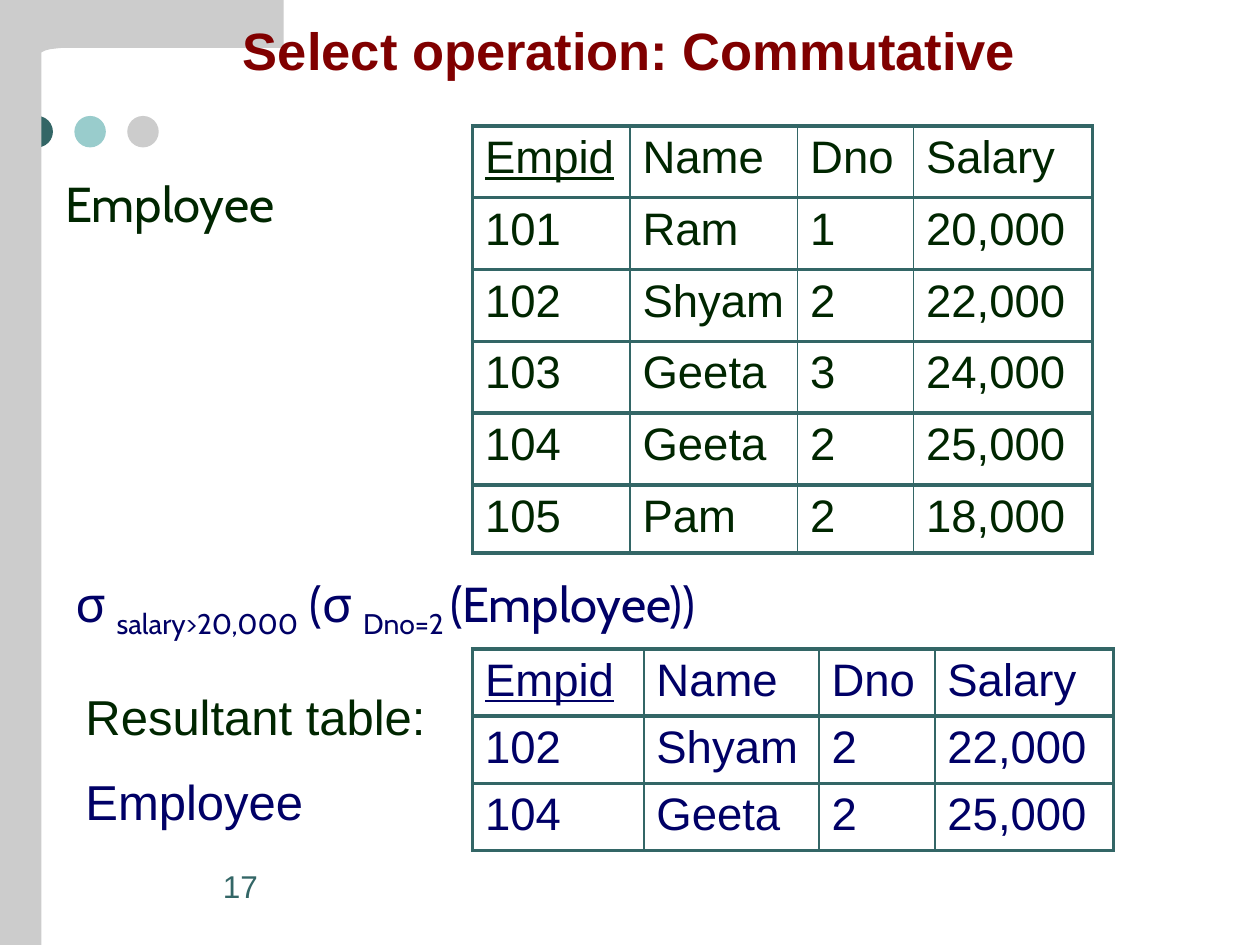
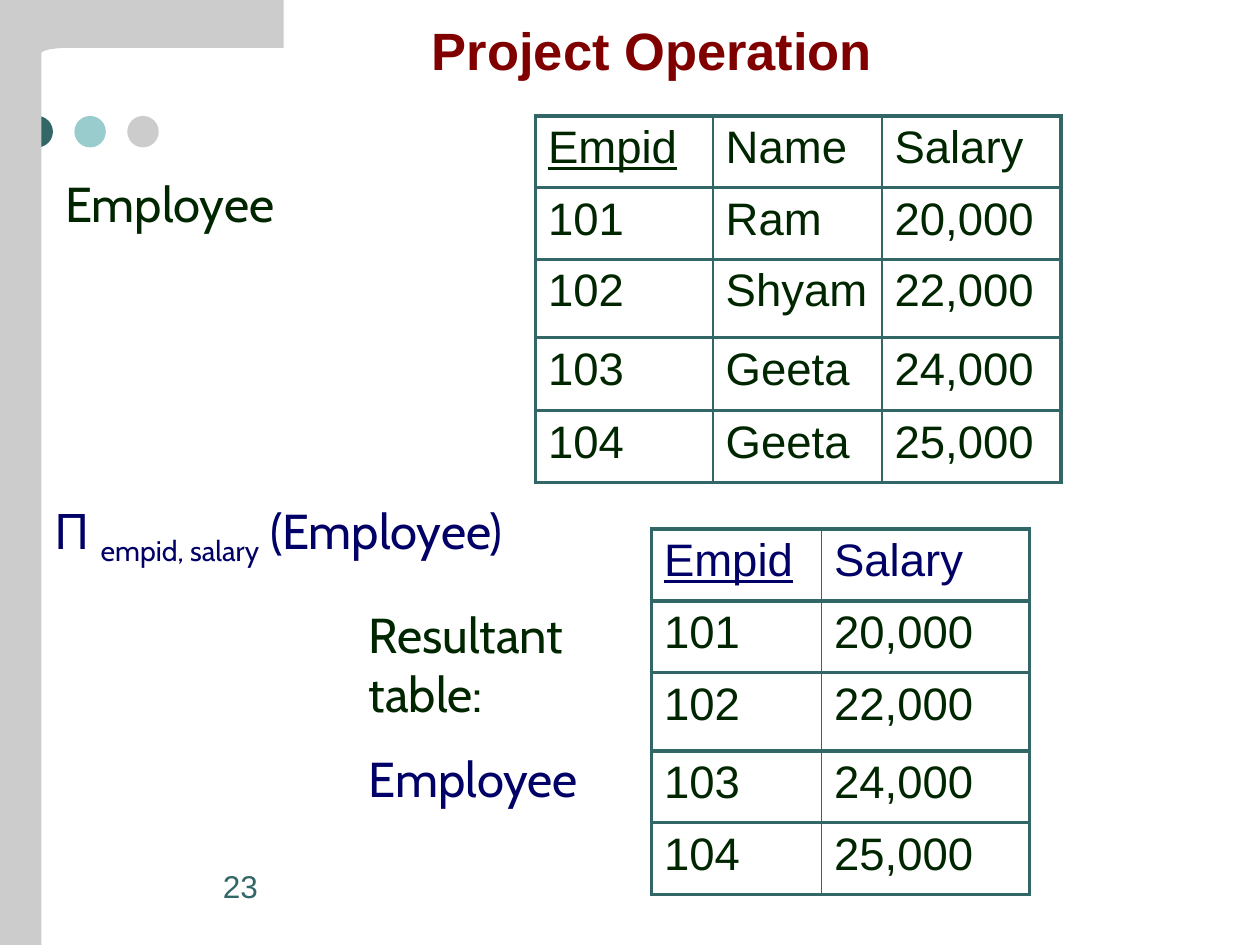
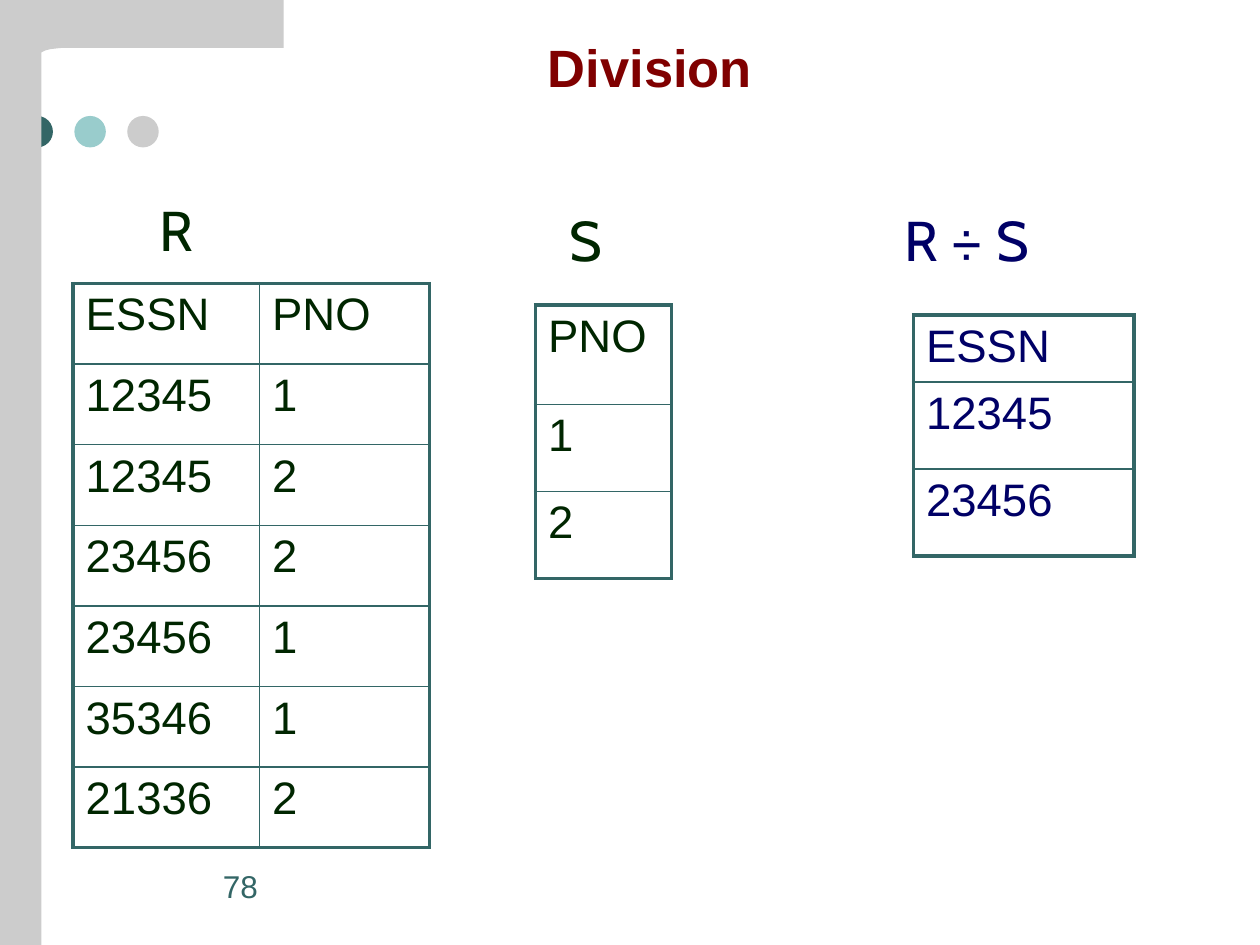
from dataclasses import dataclass

from lxml.etree import SubElement
from pptx import Presentation
from pptx.dml.color import RGBColor
from pptx.enum.shapes import MSO_SHAPE
from pptx.enum.text import MSO_ANCHOR, PP_ALIGN
from pptx.oxml.ns import qn
from pptx.util import Inches, Pt


@dataclass(frozen=True)
class Theme:
    teal: str = "336666"
    aqua: str = "99CCCC"
    grey: str = "CCCCCC"
    maroon: str = "800000"
    green: str = "002600"
    navy: str = "000066"
    sans: str = "Arial"
    label_font: str = "Cabin"
    title_size: float = 30
    symbol_size: float = 32
    label_size: float = 28
    cell_size: float = 26
    number_size: float = 18
    thick: float = 2.25
    thin: float = 1


T = Theme()
SLIDE_W, SLIDE_H = 10, 7.5
BAR_W = 0.33
SUB = {"subscript": True}

EMPLOYEES = [
    ("Empid", "Name", "Dno", "Salary"),
    ("101", "Ram", "1", "20,000"),
    ("102", "Shyam", "2", "22,000"),
    ("103", "Geeta", "3", "24,000"),
    ("104", "Geeta", "2", "25,000"),
    ("105", "Pam", "2", "18,000"),
]


def pick(rows, *names):
    """Keep only the named columns of a relation."""
    columns = [rows[0].index(name) for name in names]
    return [tuple(row[c] for c in columns) for row in rows]


def add_text(p, text, *, size, color, font=T.sans, bold=False,
             underline=False, subscript=False):
    r = p.add_run()
    r.text = text
    r.font.name = font
    r.font.size = Pt(size)
    r.font.bold = bold
    r.font.underline = underline
    r.font.color.rgb = RGBColor.from_string(color)
    if subscript:
        r._r.get_or_add_rPr().set("baseline", "-25000")


def add_box(slide, box, *lines, anchor=MSO_ANCHOR.TOP, before=15, **fmt):
    """Each line is a list of (text, format overrides) runs, or plain text."""
    tf = slide.shapes.add_textbox(*map(Inches, box)).text_frame
    tf.word_wrap = True
    tf.vertical_anchor = anchor
    for i, line in enumerate(lines):
        p = tf.add_paragraph() if i else tf.paragraphs[0]
        p.alignment = PP_ALIGN.LEFT
        if i:
            p.space_before = Pt(before)
        for text, extra in [(line, {})] if isinstance(line, str) else line:
            add_text(p, text, **{**fmt, **extra})


def add_label(slide, box, *lines, color=T.green, font=T.label_font,
              size=T.label_size):
    add_box(slide, box, *lines, color=color, font=font, size=size)


def paint(sp, color):
    sp.shadow.inherit = False
    sp.fill.solid()
    sp.fill.fore_color.rgb = RGBColor.from_string(color)
    sp.line.fill.background()


def draw_dots(slide, left, top, size=0.25, pitch=0.42):
    for i, color in enumerate((T.teal, T.aqua, T.grey)):
        box = (left + i * pitch, top, size, size)
        paint(slide.shapes.add_shape(MSO_SHAPE.OVAL, *map(Inches, box)), color)


def draw_corner(slide, left, top, width, height):
    """Top band whose lower edge curves down into the side bar."""
    curve = [(0.49, 0.38), (0.4, 0.39), (0.36, 0.4), (0.32, 0.42),
             (0.29, 0.44), (0.27, 0.47), (0.25, 0.53), (0.25, height)]
    outline = [(width, 0), (width, 0.38), *curve, (0, height), (0, 0)]
    points = [(Inches(left + x), Inches(top + y)) for x, y in outline]
    builder = slide.shapes.build_freeform(*points[0], scale=1.0)
    builder.add_line_segments(points[1:], close=True)
    paint(builder.convert_to_shape(), T.grey)


def start_slide(prs, title, title_box, number, anchor=MSO_ANCHOR.MIDDLE):
    slide = prs.slides.add_slide(prs.slide_layouts[6])
    draw_dots(slide, 0.17, 0.92)
    bar = slide.shapes.add_shape(MSO_SHAPE.RECTANGLE, 0, 0,
                                 Inches(BAR_W), Inches(SLIDE_H))
    paint(bar, T.grey)
    draw_corner(slide, 0, 0, 2.25, 0.58)
    add_box(slide, (1.67, 6.83, 1.42, 0.5), str(number),
            size=T.number_size, color=T.teal)
    add_box(slide, title_box, title, anchor=anchor,
            size=T.title_size, color=T.maroon, bold=True)
    return slide


def set_borders(cell, **weights):
    """Add L, R, T and B lines ahead of the fill, as the schema orders them."""
    tcPr = cell._tc.get_or_add_tcPr()
    for i, side in enumerate("LRTB"):
        ln = SubElement(tcPr, qn(f"a:ln{side}"), w=str(Pt(weights[side])))
        fill = SubElement(ln, qn("a:solidFill"))
        SubElement(fill, qn("a:srgbClr"), val=T.teal)
        tcPr.insert(i, ln)


def draw_relation(slide, left, top, rows, widths, heights, *, color=T.green,
                  head_color=None, key=None, rule=T.thick):
    """Table with a thick frame; rule is the weight of its row lines."""
    n_rows, n_cols = len(rows), len(widths)
    box = (left, top, sum(widths), sum(heights))
    table = slide.shapes.add_table(n_rows, n_cols, *map(Inches, box)).table
    table.first_row = table.horz_banding = False
    for column, width in zip(table.columns, widths):
        column.width = Inches(width)
    for i, (row, height) in enumerate(zip(rows, heights)):
        table.rows[i].height = Inches(height)
        for j, text in enumerate(row):
            cell = table.cell(i, j)
            cell.fill.background()
            add_text(cell.text_frame.paragraphs[0], text, size=T.cell_size,
                     color=head_color if head_color and i == 0 else color,
                     underline=text == key)
            set_borders(cell,
                        L=T.thin if j else T.thick,
                        R=T.thin if j < n_cols - 1 else T.thick,
                        T=rule if i else T.thick,
                        B=rule if i < n_rows - 1 else T.thick)


def draw_named_relation(slide, left, top, name, name_box, rows, widths,
                        heights, color=T.green):
    """Relation under its name; name_box is relative to the table corner."""
    draw_relation(slide, left, top, rows, widths, heights,
                  color=color, rule=T.thin)
    dx, dy, width = name_box
    add_label(slide, (left + dx, top + dy, width, 0.63), name,
              color=color, size=T.symbol_size)


def build_select_slide(prs):
    slide = start_slide(prs, "Select operation: Commutative",
                        (1.83, 0.08, 6.75, 0.62), 17)
    draw_relation(slide, 3.75, 1, EMPLOYEES, [1.25, 1.33, 0.92, 1.42],
                  [0.57] * 5 + [0.54], key="Empid")
    add_label(slide, (0.42, 1.33, 4.08, 0.57), "Employee")
    selected = [EMPLOYEES[0], EMPLOYEES[2], EMPLOYEES[4]]
    draw_relation(slide, 3.75, 5.15, selected, [1.36, 1.39, 0.92, 1.42],
                  [0.53] * 3, color=T.navy, key="Empid")
    add_label(slide, (0.58, 5.4, 2.92, 1.27), "Resultant table:",
              [("Employee", {"color": T.navy})], font=T.sans)
    add_label(slide, (0.5, 4.5, 6, 0.57),
              [("σ ", {}), ("salary>20,000", SUB), (" (σ ", {}),
               ("Dno=2 ", SUB), ("(Employee))", {})], color=T.navy)


def build_project_slide(prs):
    slide = start_slide(prs, "Project Operation",
                        (3.33, 0.08, 3.75, 0.62), 23)
    source = pick(EMPLOYEES[:5], "Empid", "Name", "Salary")
    draw_relation(slide, 4.25, 0.92, source, [1.41, 1.34, 1.42],
                  [0.57, 0.57, 0.62, 0.58, 0.57], key="Empid")
    add_label(slide, (0.42, 1.33, 2.83, 0.57), "Employee")
    draw_relation(slide, 5.17, 4.2, pick(source, "Empid", "Salary"),
                  [1.35, 1.65], [0.57, 0.57, 0.62, 0.57, 0.57],
                  head_color=T.navy, key="Empid")
    add_label(slide, (2.83, 4.75, 1.92, 1.74), "Resultant table:",
              [("Employee", {"color": T.navy})])
    add_label(slide, (0.33, 3.92, 4.33, 0.57),
              [("Π ", {}), ("empid, salary", SUB), (" (Employee)", {})],
              color=T.navy)


def build_division_slide(prs):
    slide = start_slide(prs, "Division", (4.25, 0.21, 1.92, 0.62), 78,
                        anchor=MSO_ANCHOR.BOTTOM)
    works_on = [("ESSN", "PNO"), ("12345", "1"), ("12345", "2"),
                ("23456", "2"), ("23456", "1"), ("35346", "1"),
                ("21336", "2")]
    draw_named_relation(slide, 0.58, 2.25, "R", (0.59, -0.75, 0.73),
                        works_on, [1.48, 1.35], [0.64] * 7)
    draw_named_relation(slide, 4.25, 2.42, "S", (0.17, -0.84, 0.73),
                        [("PNO",), ("1",), ("2",)], [1.08],
                        [0.79, 0.69, 0.69])
    draw_named_relation(slide, 7.25, 2.5, "R ÷ S", (-0.17, -0.92, 1.75),
                        [("ESSN",), ("12345",), ("23456",)], [1.75],
                        [0.51, 0.69, 0.69], color=T.navy)


def main():
    prs = Presentation()
    prs.slide_width, prs.slide_height = Inches(SLIDE_W), Inches(SLIDE_H)
    build_select_slide(prs)
    build_project_slide(prs)
    build_division_slide(prs)
    prs.save("out.pptx")


if __name__ == "__main__":
    main()
